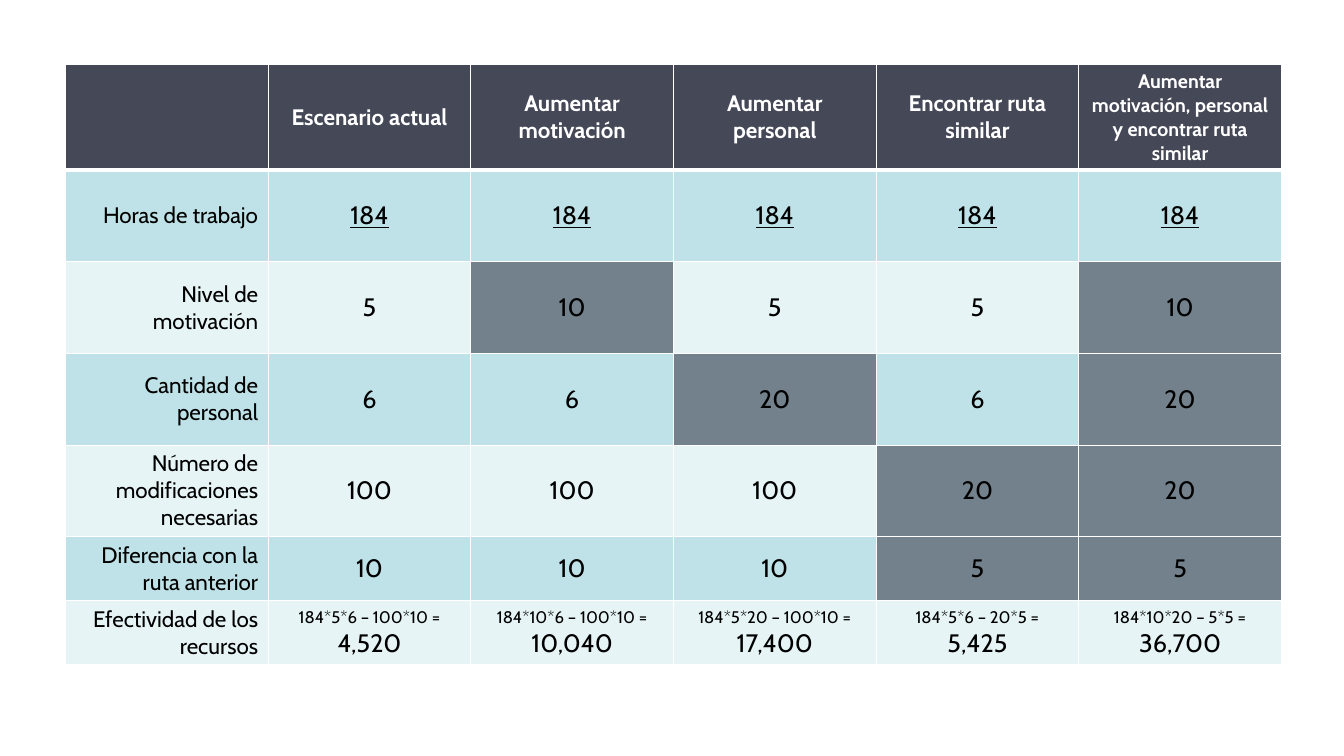
from lxml import etree
from pptx import Presentation
from pptx.dml.color import RGBColor
from pptx.enum.text import MSO_ANCHOR, PP_ALIGN
from pptx.oxml.ns import qn
from pptx.util import Inches, Pt

MIDDLE = MSO_ANCHOR.MIDDLE
CENTER, RIGHT = PP_ALIGN.CENTER, PP_ALIGN.RIGHT

WHITE = RGBColor(0xFF, 0xFF, 0xFF)
BLACK = RGBColor(0x00, 0x00, 0x00)
HEADER_FILL = RGBColor(0x45, 0x48, 0x57)
CHANGED_FILL = RGBColor(0x72, 0x81, 0x8B)
BAND_FILLS = (RGBColor(0xBE, 0xE2, 0xE7), RGBColor(0xE6, 0xF4, 0xF6))

FONT_NAME = "Cabin"
COLUMN_WIDTH = 2.01
ROW_HEIGHTS = (0.58, 0.91, 0.91, 0.91, 0.58, 0.58, 0.58)

SCENARIOS = (
    "Escenario actual",
    "Aumentar motivación",
    "Aumentar personal",
    "Encontrar ruta similar",
    "Aumentar motivación, personal y encontrar ruta similar",
)
FACTORS = (
    ("Horas de trabajo", ("184",) * 5),
    ("Nivel de motivación", ("5", "10", "5", "5", "10")),
    ("Cantidad de personal", ("6", "6", "20", "6", "20")),
    ("Número de modificaciones necesarias", ("100", "100", "100", "20", "20")),
    ("Diferencia con la ruta anterior", ("10", "10", "10", "5", "5")),
)
RESULT_LABEL = "Efectividad de los recursos"
RESULTS = (
    ("184*5*6 – 100*10 = ", "4,520"),
    ("184*10*6 – 100*10 = ", "10,040"),
    ("184*5*20 – 100*10 = ", "17,400"),
    ("184*5*6 – 20*5 = ", "5,425"),
    ("184*10*20 – 5*5 = ", "36,700"),
)

LABEL_FORMAT = {"size": Pt(16)}
VALUE_FORMAT = {"size": Pt(18)}
FORMULA_FORMAT = {"size": Pt(12)}
HEADER_FORMAT = {"size": Pt(16), "bold": True}
LONG_HEADER_FORMAT = {"size": Pt(14), "bold": True}
HOURS_FORMAT = {"size": Pt(18), "underline": True}


def set_borders(cell, top=1, bottom=1):
    properties = cell._tc.get_or_add_tcPr()
    for side, points in (("L", 1), ("R", 1), ("T", top), ("B", bottom)):
        line = etree.SubElement(properties, qn(f"a:ln{side}"), w=str(Pt(points)))
        fill = etree.SubElement(line, qn("a:solidFill"))
        etree.SubElement(fill, qn("a:srgbClr"), val=str(WHITE))


def paint_cell(cell, fill, top=1, bottom=1):
    set_borders(cell, top, bottom)
    cell.fill.solid()
    cell.fill.fore_color.rgb = fill
    cell.vertical_anchor = MIDDLE


def write_cell(cell, runs, color=BLACK, alignment=CENTER):
    paragraph = cell.text_frame.paragraphs[0]
    paragraph.alignment = alignment
    for text, text_format in runs:
        run = paragraph.add_run()
        run.text = text
        run.font.color.rgb = color
        for name, value in {"name": FONT_NAME, "bold": False, **text_format}.items():
            setattr(run.font, name, value)


def fill_header(table):
    for column in range(len(SCENARIOS) + 1):
        paint_cell(table.cell(0, column), HEADER_FILL, bottom=3)
    for column, scenario in enumerate(SCENARIOS, start=1):
        is_last = column == len(SCENARIOS)
        text_format = LONG_HEADER_FORMAT if is_last else HEADER_FORMAT
        write_cell(table.cell(0, column), [(scenario, text_format)], WHITE)


def fill_row(table, row, label, entries, changed):
    band = BAND_FILLS[(row - 1) % 2]
    top = 3 if row == 1 else 1
    label_cell = table.cell(row, 0)
    paint_cell(label_cell, band, top)
    write_cell(label_cell, [(label, LABEL_FORMAT)], alignment=RIGHT)
    for column, runs in enumerate(entries, start=1):
        cell = table.cell(row, column)
        paint_cell(cell, CHANGED_FILL if changed[column - 1] else band, top)
        write_cell(cell, runs)


def add_scenario_table(slide):
    column_count = len(SCENARIOS) + 1
    frame = slide.shapes.add_table(
        len(ROW_HEIGHTS), column_count, Inches(0.65), Inches(0.64),
        Inches(COLUMN_WIDTH * column_count), Inches(sum(ROW_HEIGHTS)))
    table = frame.table
    for column in table.columns:
        column.width = Inches(COLUMN_WIDTH)
    for row, height in zip(table.rows, ROW_HEIGHTS):
        row.height = Inches(height)
    frame.height = Inches(6.15)

    fill_header(table)
    for row, (label, values) in enumerate(FACTORS, start=1):
        text_format = HOURS_FORMAT if row == 1 else VALUE_FORMAT
        entries = [[(value, text_format)] for value in values]
        changed = [value != values[0] for value in values]
        fill_row(table, row, label, entries, changed)
    entries = [[(formula, FORMULA_FORMAT), (total, VALUE_FORMAT)]
               for formula, total in RESULTS]
    fill_row(table, len(FACTORS) + 1, RESULT_LABEL, entries, [False] * len(RESULTS))


def main():
    presentation = Presentation()
    presentation.slide_width = Inches(13.33)
    presentation.slide_height = Inches(7.5)
    slide = presentation.slides.add_slide(presentation.slide_layouts[6])
    add_scenario_table(slide)
    presentation.save("out.pptx")


main()
